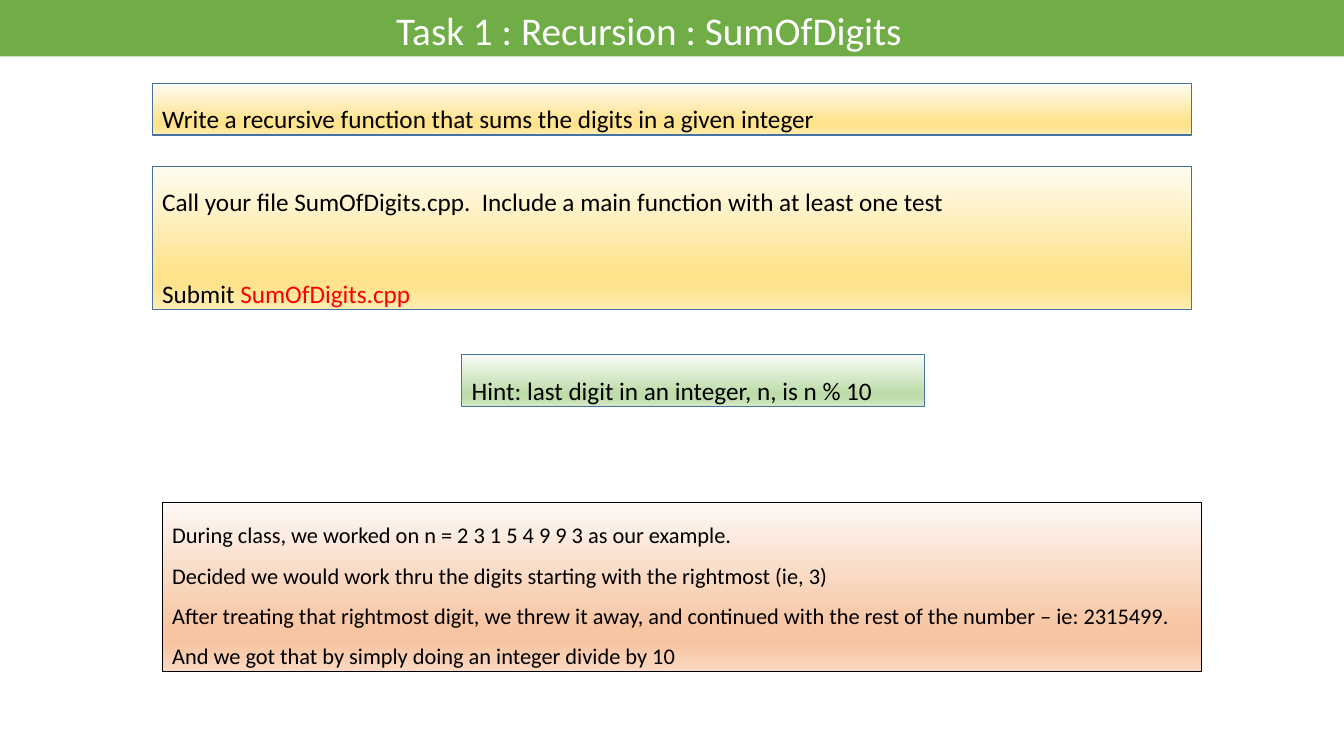
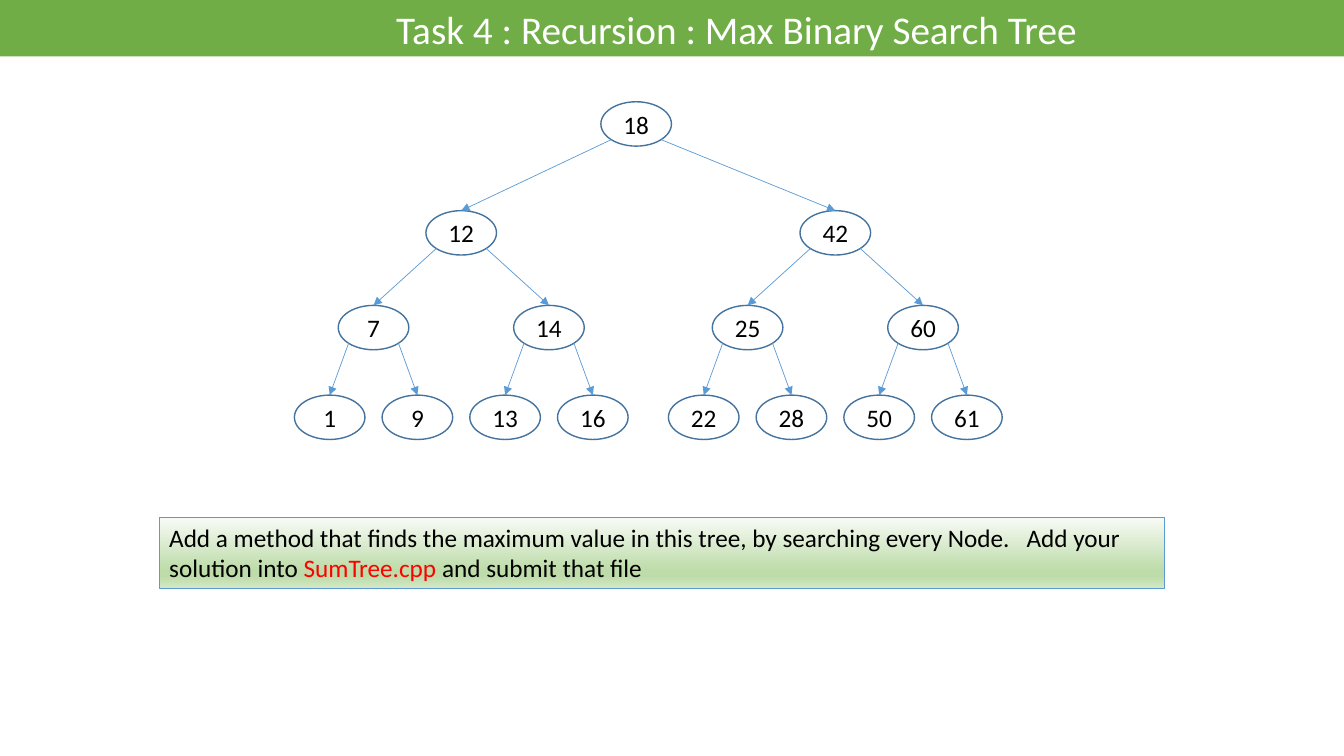
from dataclasses import dataclass

from lxml import etree
from pptx import Presentation
from pptx.dml.color import RGBColor
from pptx.enum.shapes import MSO_CONNECTOR, MSO_SHAPE
from pptx.enum.text import MSO_ANCHOR, MSO_AUTO_SIZE, PP_ALIGN
from pptx.oxml.ns import qn
from pptx.util import Inches, Pt

RECT, OVAL = MSO_SHAPE.RECTANGLE, MSO_SHAPE.OVAL
STRAIGHT = MSO_CONNECTOR.STRAIGHT
TOP, MIDDLE = MSO_ANCHOR.TOP, MSO_ANCHOR.MIDDLE
LEFT, CENTER = PP_ALIGN.LEFT, PP_ALIGN.CENTER
GROW, FIXED = MSO_AUTO_SIZE.SHAPE_TO_FIT_TEXT, MSO_AUTO_SIZE.NONE

TITLE_ONLY = 5
TOP_SITE, LOWER_LEFT_SITE, LOWER_RIGHT_SITE = 0, 3, 5


@dataclass(frozen=True)
class Theme:
    """Colours, gradients and type sizes of the deck."""
    font: str = "Calibri"
    title_size: int = 28
    body_size: int = 18
    note_size: int = 16
    band: str = "70AD47"
    white: str = "FFFFFF"
    ink: str = "000000"
    accent: str = "FF0000"
    outline: str = "43739E"
    arrow: str = "5B9BD5"
    stops: tuple = (0, 74, 83, 100)
    gold: tuple = ("FFFCF2", "FFE38C", "FFE38C", "FFECB2")
    green: tuple = ("F8FBF6", "BEDCAA", "BEDCAA", "D4E8C6")
    orange: tuple = ("FEF8F5", "F7C5A2", "F7C5A2", "FAD8C1")


THEME = Theme()


def rgb(value):
    """Turn a hex string into a colour."""
    return RGBColor.from_string(value)


def write(frame, paragraphs, size=THEME.body_size, color=THEME.ink, align=LEFT,
          anchor=TOP, line_spacing=1.0, gap=0, fit=GROW):
    """Fill a text frame; a run is a string or a (string, colour) pair."""
    frame.word_wrap = True
    frame.auto_size = fit
    frame.vertical_anchor = anchor
    for index, runs in enumerate(paragraphs):
        paragraph = frame.add_paragraph() if index else frame.paragraphs[0]
        paragraph.alignment = align
        paragraph.line_spacing = line_spacing
        paragraph.space_before = Pt(gap if index else 0)
        for part in runs:
            words, run_color = (part, color) if isinstance(part, str) else part
            run = paragraph.add_run()
            run.text = words
            run.font.name = THEME.font
            run.font.size = Pt(size)
            run.font.color.rgb = rgb(run_color)


class Deck:
    """Holds the theme and the current slide, and draws its elements."""

    def __init__(self, theme):
        """Start an empty widescreen deck with the green band on its layout."""
        self.theme = theme
        self.presentation = Presentation()
        self.presentation.slide_width = Inches(13.33)
        self.presentation.slide_height = Inches(7.5)
        self.layout = self.presentation.slide_layouts[TITLE_ONLY]
        self.slide = None
        self.has_band = False

    def add_slide(self, title, top, width):
        """Add a slide and format its title."""
        self.slide = self.presentation.slides.add_slide(self.layout)
        if not self.has_band:
            self.add_band()
        heading = self.slide.shapes.title
        heading.left, heading.top = Inches(3.83), Inches(top)
        heading.width, heading.height = Inches(width), Inches(0.57)
        write(heading.text_frame, [[title]], size=self.theme.title_size,
              color=self.theme.white)

    def add_band(self):
        """Draw the title band and move it to the shared layout."""
        band = self.shape(RECT, 0, 0, 13.33, 0.56)
        band.fill.solid()
        band.fill.fore_color.rgb = rgb(self.theme.band)
        band.line.fill.background()
        self.layout.shapes.element.insert(2, band.element)
        self.has_band = True

    def shape(self, preset, left, top, width, height):
        """Add a preset shape without a shadow."""
        shape = self.slide.shapes.add_shape(
            preset, Inches(left), Inches(top), Inches(width), Inches(height))
        shape.shadow.inherit = False
        return shape

    def panel(self, left, top, width, height, tints, paragraphs, outline=THEME.outline,
              **text_format):
        """Add an outlined text panel with a vertical gradient."""
        panel = self.shape(RECT, left, top, width, height)
        panel.fill.gradient()
        panel.fill.gradient_angle = 270
        stop_list = panel.element.find(".//" + qn("a:gsLst"))
        for stop in list(stop_list):
            stop_list.remove(stop)
        for percent, tint in zip(self.theme.stops, tints):
            stop = etree.SubElement(stop_list, qn("a:gs"), pos=str(percent * 1000))
            etree.SubElement(stop, qn("a:srgbClr"), val=tint)
        panel.line.color.rgb = rgb(outline)
        panel.line.width = Pt(0.75)
        write(panel.text_frame, paragraphs, **text_format)

    def node(self, left, top, value):
        """Add one tree node."""
        node = self.shape(OVAL, left, top, 0.7, 0.44)
        node.fill.background()
        node.line.color.rgb = rgb(self.theme.outline)
        node.line.width = Pt(1)
        frame = node.text_frame
        frame.margin_left = frame.margin_right = 0
        write(frame, [[str(value)]], align=CENTER, anchor=MIDDLE, fit=FIXED)
        return node

    def branch(self, parent, child, site):
        """Join the lower side of a parent to the top of its child."""
        arrow = self.slide.shapes.add_connector(STRAIGHT, 0, 0, 0, 0)
        arrow.begin_connect(parent, LOWER_LEFT_SITE)
        arrow.element.find(".//" + qn("a:stCxn")).set("idx", str(site))
        side = -1 if site == LOWER_LEFT_SITE else 1
        diagonal = 0.5 ** 0.5
        arrow.begin_x = int(parent.left + parent.width / 2 * (1 + side * diagonal))
        arrow.begin_y = int(parent.top + parent.height / 2 * (1 + diagonal))
        arrow.end_connect(child, TOP_SITE)
        arrow.line.color.rgb = rgb(self.theme.arrow)
        arrow.line.width = Pt(0.5)
        line = arrow.element.spPr.find(qn("a:ln"))
        etree.SubElement(line, qn("a:tailEnd"), type="triangle")
        etree.SubElement(arrow.element.spPr, qn("a:effectLst"))

    def tree(self, levels, tops, leaf_lefts, root_left):
        """Draw a full binary tree, each parent midway above its children."""
        lefts, children = leaf_lefts, []
        for values, top in zip(reversed(levels), reversed(tops)):
            if children:
                lefts = [sum(pair) / 2 for pair in zip(lefts[::2], lefts[1::2])]
            if len(values) == 1:
                lefts = [root_left]
            nodes = [self.node(left, top, value) for left, value in zip(lefts, values)]
            for parent, low, high in zip(nodes, children[::2], children[1::2]):
                self.branch(parent, low, LOWER_LEFT_SITE)
                self.branch(parent, high, LOWER_RIGHT_SITE)
            children = nodes


def sum_of_digits(deck):
    """Build the digit sum task."""
    theme = deck.theme
    deck.add_slide("Task 1 : Recursion : SumOfDigits", top=0.01, width=6.1)
    deck.panel(1.51, 0.83, 10.31, 0.51, theme.gold, [
        ["Write\u00a0a\u00a0recursive\u00a0function\u00a0that sums the digits "
         "in a given integer"],
    ], line_spacing=1.5)
    deck.panel(1.51, 1.65, 10.31, 1.42, theme.gold, [
        ["Call your file SumOfDigits.cpp.  Include a main function "
         "with at least one test"],
        ["Submit ", ("SumOfDigits.cpp", theme.accent)],
    ], line_spacing=1.5, gap=33)
    deck.panel(4.58, 3.52, 4.59, 0.51, theme.green, [
        ["Hint: last digit in an integer, n, is n % 10"],
    ], line_spacing=1.5)
    deck.panel(1.61, 4.99, 10.31, 1.67, theme.orange, [
        ["During class, we worked on n = 2 3 1 5 4 9 9 3 as our example."],
        ["Decided we would work thru the digits starting with the rightmost (ie, 3)"],
        ["After treating that rightmost digit, we threw it away, and continued with "
         "the rest of the number – ie: 2315499.  And we got that by simply doing "
         "an integer divide by 10"],
    ], outline=theme.ink, size=theme.note_size, line_spacing=1.5)


def max_search_tree(deck):
    """Build the search tree task."""
    theme = deck.theme
    deck.add_slide("Task 4 : Recursion : Max Binary Search Tree", top=0, width=7.46)
    levels = [
        [18],
        [12, 42],
        [7, 14, 25, 60],
        [1, 9, 13, 16, 22, 28, 50, 61],
    ]
    leaf_pitch, half_gap = 0.87, 0.23
    leaf_lefts = [2.92 + leaf_pitch * leaf + half_gap * (leaf // 4) for leaf in range(8)]
    deck.tree(levels, [1.01, 2.09, 3.03, 3.92], leaf_lefts, root_left=5.96)
    deck.panel(1.58, 5.13, 9.97, 0.71, theme.green, [
        ["Add a method that finds the maximum value in this tree, by searching "
         "every Node.   Add your solution into ",
         ("SumTree.cpp", theme.accent), " and submit that file"],
    ], outline=theme.arrow)


def main():
    """Build and save the deck."""
    deck = Deck(THEME)
    sum_of_digits(deck)
    max_search_tree(deck)
    deck.presentation.save("out.pptx")


main()
